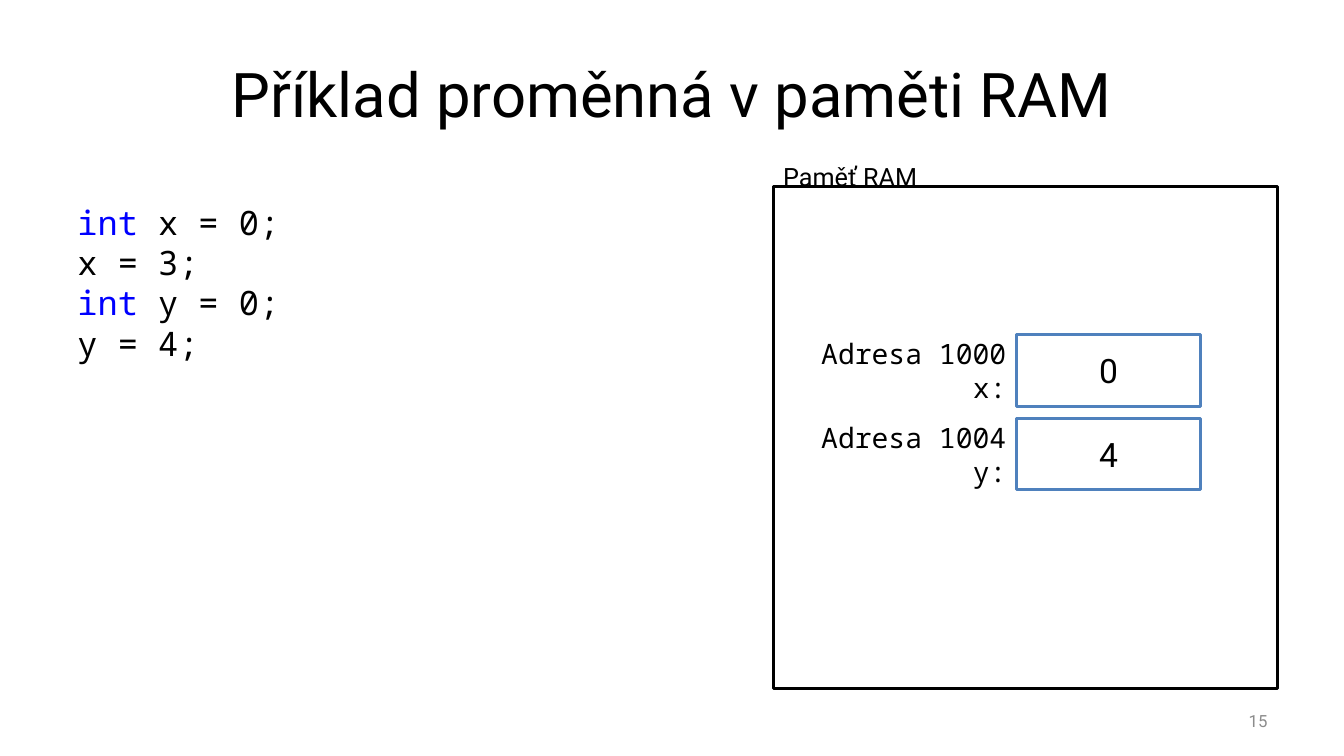
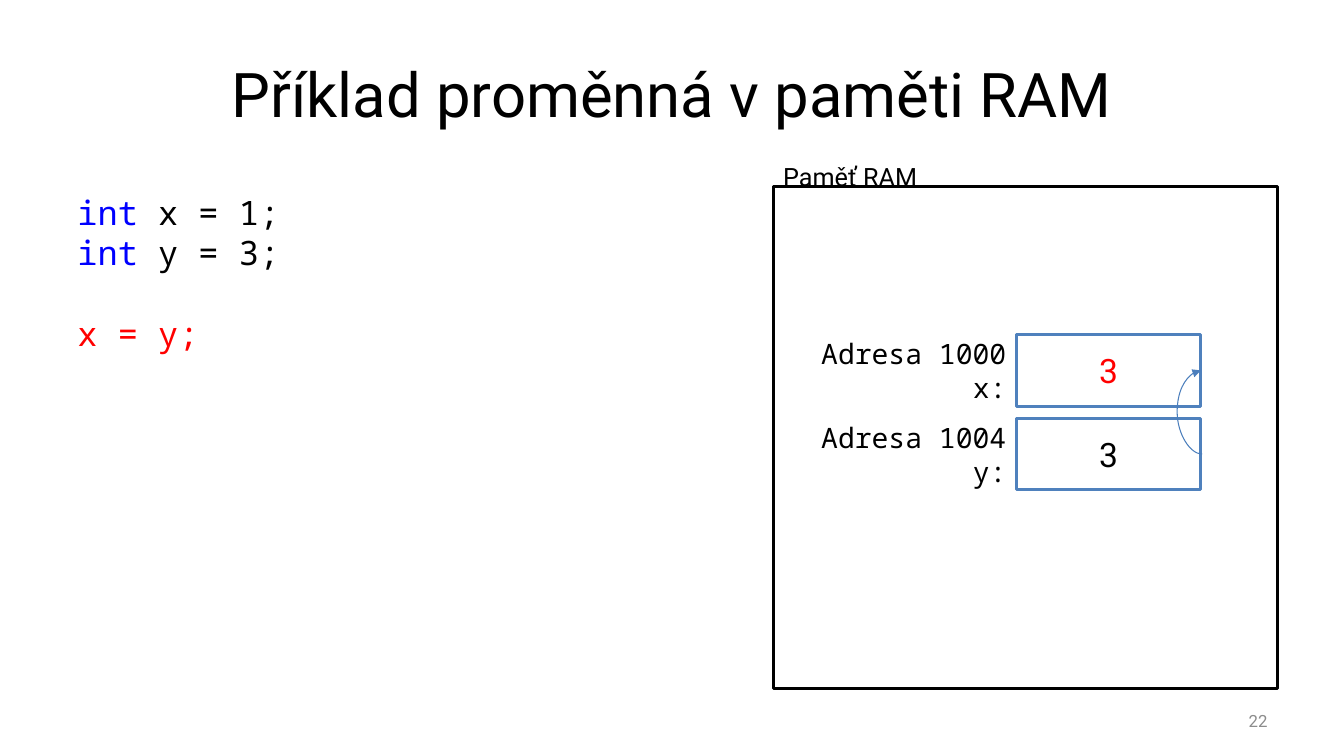
"""Build two slides that show variables stored in RAM."""
from dataclasses import dataclass

from lxml import etree
from pptx import Presentation
from pptx.dml import color
from pptx.enum import shapes, text
from pptx.oxml import ns
from pptx.util import Inches, Pt

SANS, MONO = "Roboto", "Noto Sans Mono"
BLACK, WHITE, GREY = "000000", "FFFFFF", "8C8C8C"
KEYWORD, HIGHLIGHT = "0000FF", "FF0000"
CELL_LINE, ARROW_LINE = "4F81BD", "4B7EBC"
CELL_LEFT, CELL_TOP, CELL_WIDTH, CELL_HEIGHT, CELL_PITCH = 10.08, 3.32, 1.83, 0.71, 0.83
LABEL_LEFT, LABEL_HEIGHT = 8, 0.77
CODE_LINE = 29
ARROW_BULGE = 18
LEFT, CENTER, RIGHT = text.PP_ALIGN.LEFT, text.PP_ALIGN.CENTER, text.PP_ALIGN.RIGHT
TOP, MIDDLE = text.MSO_ANCHOR.TOP, text.MSO_ANCHOR.MIDDLE


@dataclass
class Span:
    text: str
    color: str = BLACK


@dataclass
class Line:
    spans: list[Span]
    blank_lines_before: int = 0


@dataclass
class Cell:
    address: int
    name: str
    value: str
    color: str = BLACK


@dataclass
class MemorySlide:
    number: int
    code_top: float
    code: list[Line]
    cells: list[Cell]
    copies_value: bool = False


def declare(assignment: str) -> Line:
    """Return a code line that declares an integer."""
    return Line([Span("int", KEYWORD), Span(f" {assignment};")])


SLIDES = [
    MemorySlide(
        15, 1.95,
        [declare("x = 0"), Line([Span("x = 3;")]), declare("y = 0"), Line([Span("y = 4;")])],
        [Cell(1000, "x", "0"), Cell(1004, "y", "4")],
    ),
    MemorySlide(
        22, 1.85,
        [declare("x = 1"), declare("y = 3"), Line([Span("x = y;", HIGHLIGHT)], 1)],
        [Cell(1000, "x", "3", HIGHLIGHT), Cell(1004, "y", "3")],
        copies_value=True,
    ),
]


def rgb(value: str) -> color.RGBColor:
    """Return the colour for a hex string."""
    return color.RGBColor.from_string(value)


def write(shape, lines: list[Line], size: float, font: str = SANS, align=LEFT, anchor=TOP) -> None:
    """Fill a shape with formatted lines."""
    frame = shape.text_frame
    frame.word_wrap = True
    frame.vertical_anchor = anchor
    for index, line in enumerate(lines):
        paragraph = frame.add_paragraph() if index else frame.paragraphs[0]
        paragraph.alignment = align
        if line.blank_lines_before:
            paragraph.space_before = Pt(CODE_LINE * line.blank_lines_before)
        for span in line.spans:
            run = paragraph.add_run()
            run.text = span.text
            run.font.name = font
            run.font.size = Pt(size)
            run.font.color.rgb = rgb(span.color)


def add_text(slide, left: float, top: float, width: float, height: float, lines: list[Line],
             size: float, **style) -> None:
    """Add a text box."""
    box = slide.shapes.add_textbox(Inches(left), Inches(top), Inches(width), Inches(height))
    write(box, lines, size, **style)


def add_rectangle(slide, left: float, top: float, width: float, height: float, line_color: str):
    """Add a white rectangle with a coloured outline."""
    rectangle = slide.shapes.add_shape(
        shapes.MSO_SHAPE.RECTANGLE, Inches(left), Inches(top), Inches(width), Inches(height))
    rectangle.shadow.inherit = False
    rectangle.fill.solid()
    rectangle.fill.fore_color.rgb = rgb(WHITE)
    rectangle.line.color.rgb = rgb(line_color)
    rectangle.line.width = Pt(2)
    return rectangle


def add_cell(slide, row: int, cell: Cell):
    """Add a memory cell with its address and variable name."""
    offset = row * CELL_PITCH
    rectangle = add_rectangle(
        slide, CELL_LEFT, CELL_TOP + offset, CELL_WIDTH, CELL_HEIGHT, CELL_LINE)
    write(rectangle, [Line([Span(cell.value, cell.color)])], 24, align=CENTER, anchor=MIDDLE)
    label = [Line([Span(f"Adresa {cell.address}")]), Line([Span(f"{cell.name}:")])]
    label_top = CELL_TOP + offset - (LABEL_HEIGHT - CELL_HEIGHT) / 2
    add_text(slide, LABEL_LEFT, label_top, CELL_LEFT - LABEL_LEFT, LABEL_HEIGHT, label, 20,
             font=MONO, align=RIGHT, anchor=MIDDLE)
    return rectangle


def add_copy_arrow(slide, source, target) -> None:
    """Add a curved arrow between the right sides of two cells."""
    arrow = slide.shapes.add_connector(shapes.MSO_CONNECTOR.CURVE, 0, 0, 0, 0)
    arrow.begin_connect(source, 3)
    arrow.end_connect(target, 3)
    arrow.width = Pt(1)
    arrow.line.color.rgb = rgb(ARROW_LINE)
    arrow.line.width = Pt(0.75)
    properties = arrow.line._get_or_add_ln()
    etree.SubElement(properties, ns.qn("a:tailEnd"), type="triangle")
    shape_properties = properties.getparent()
    etree.SubElement(shape_properties, ns.qn("a:effectLst"))
    adjustments = next(shape_properties.iter(ns.qn("a:avLst")))
    etree.SubElement(adjustments, ns.qn("a:gd"), name="adj1", fmla=f"val {ARROW_BULGE * 100000}")


def build_slide(presentation, content: MemorySlide) -> None:
    """Add one slide with code and a memory diagram."""
    slide = presentation.slides.add_slide(presentation.slide_layouts.get_by_name("Title Only"))
    title = slide.shapes.title
    title.left, title.top, title.width, title.height = (
        Inches(value) for value in (0.67, 0.3, 12, 1.25))
    write(title, [Line([Span("Příklad proměnná v paměti RAM")])], 44, align=CENTER, anchor=MIDDLE)
    add_text(slide, 9.56, 6.95, 3.11, 0.4, [Line([Span(str(content.number), GREY)])], 12,
             align=RIGHT, anchor=MIDDLE)
    add_rectangle(slide, 7.67, 1.85, 5, 4.98, BLACK)
    add_text(slide, 0.67, content.code_top, 5.78, 1.72, content.code, 24, font=MONO)
    add_text(slide, 7.67, 1.55, 1.86, 0.4, [Line([Span("Paměť RAM")])], 18)
    cells = [add_cell(slide, row, cell) for row, cell in enumerate(content.cells)]
    if content.copies_value:
        add_copy_arrow(slide, source=cells[1], target=cells[0])


def main() -> None:
    """Build and save the presentation."""
    presentation = Presentation()
    presentation.slide_width, presentation.slide_height = Inches(13.33), Inches(7.5)
    for content in SLIDES:
        build_slide(presentation, content)
    presentation.save("out.pptx")


if __name__ == "__main__":
    main()
